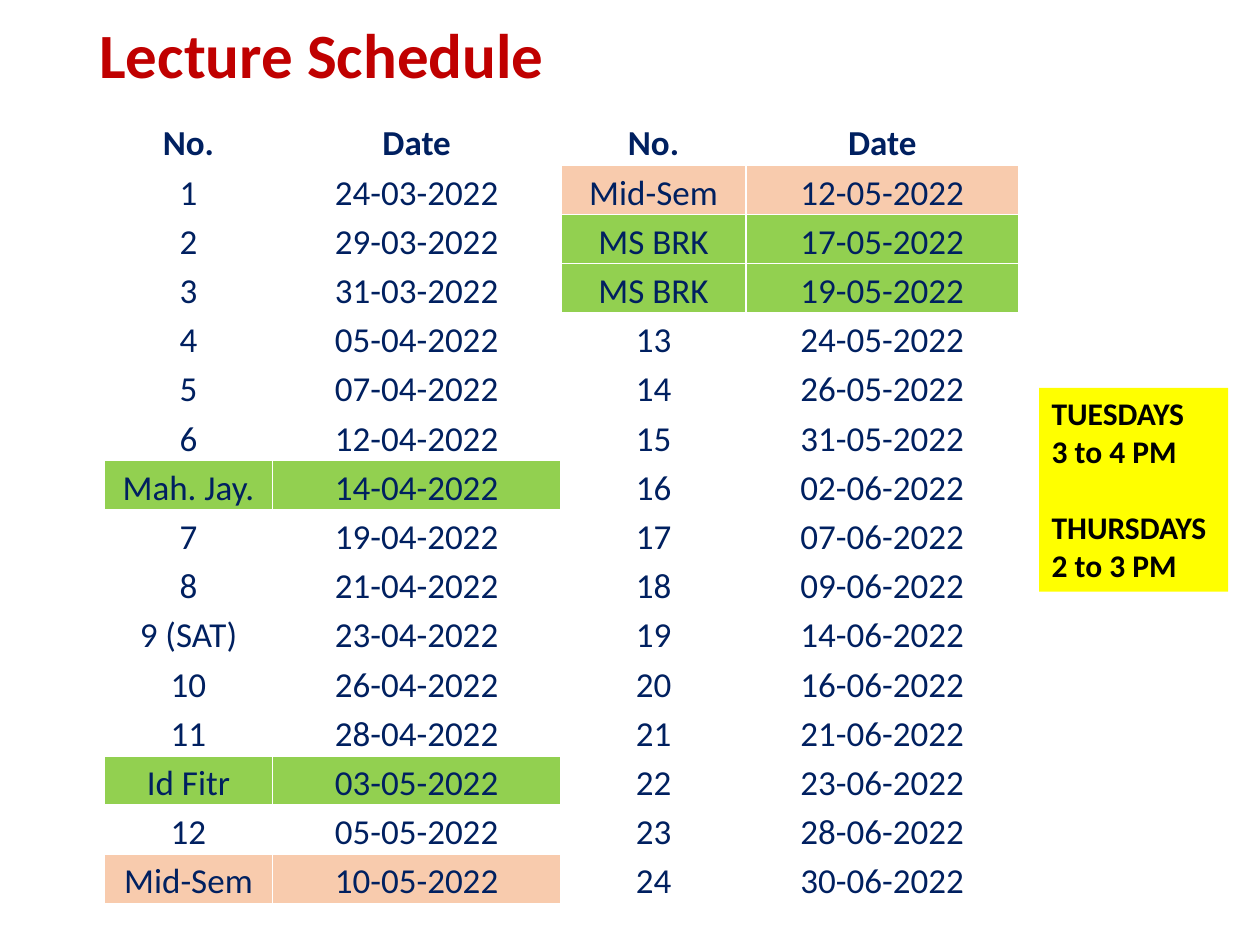
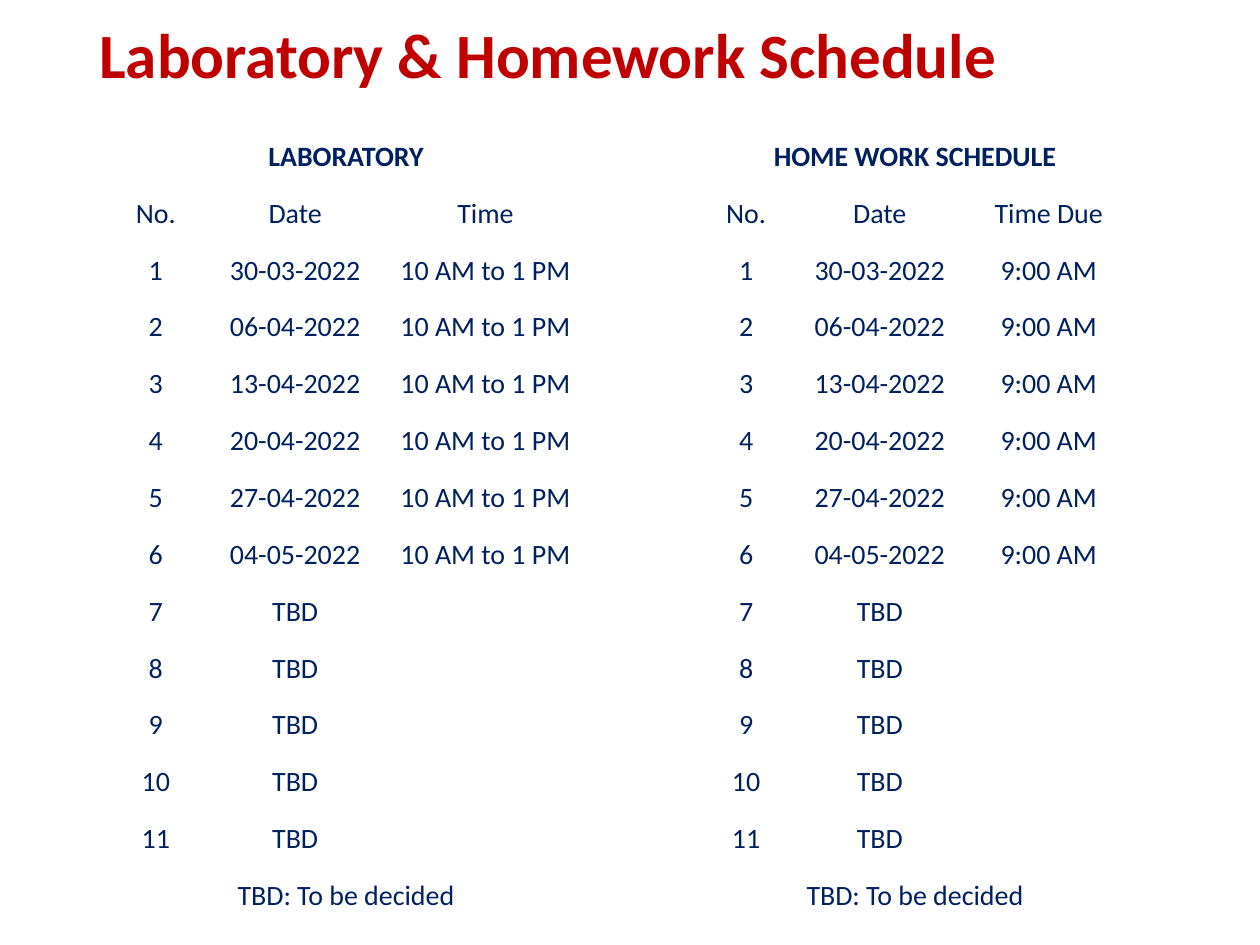
from lxml import etree
from pptx import Presentation
from pptx import util as u
from pptx.dml.color import RGBColor
from pptx.enum import shapes, text
from pptx.oxml import ns

# Theme: colours and type sizes
theme = {
    "font": "Calibri",
    "red": "C00000", "navy": "002060", "black": "000000", "white": "FFFFFF",
    "green": "92D050", "peach": "F8CBAD", "yellow": "FFFF00",
    "title": 36, "dates": 20, "note": 18, "plan": 16,
}


def style(para, size, color, bold, align):
    para.alignment = align
    for run in para.runs:
        look = {"name": theme["font"], "size": u.Pt(size), "bold": bold}
        for key, value in look.items():
            setattr(run.font, key, value)
        run.font.color.rgb = RGBColor.from_string(theme[color])


def grid(slide, rows, widths, top, height, size, marks):
    frame = slide.shapes.add_table(
        len(rows), len(widths), u.Cm(2.11), u.Cm(top),
        u.Cm(sum(widths)), u.Cm(height))
    table = frame.table
    table.first_row = table.horz_banding = False
    for col, width in zip(table.columns, widths):
        col.width = u.Cm(width)
    inset = {"margin_left": u.Cm(0.02), "margin_right": u.Cm(0.02),
             "margin_top": u.Cm(0.02), "margin_bottom": 0,
             "vertical_anchor": text.MSO_ANCHOR.BOTTOM}
    for r, row in enumerate(rows):
        for c, words in enumerate(row):
            cell = table.cell(r, c)
            for key, value in inset.items():
                setattr(cell, key, value)
            # White borders come before the fill
            props = cell._tc.get_or_add_tcPr()
            for side in ("a:lnL", "a:lnR", "a:lnT", "a:lnB"):
                line = etree.SubElement(props, ns.qn(side), w="12700")
                paint = etree.SubElement(line, ns.qn("a:solidFill"))
                etree.SubElement(paint, ns.qn("a:srgbClr"), val=theme["white"])
            # A marked label colours itself and the date beside it
            mark = marks.get(words) or (c and marks.get(row[c - 1]))
            if mark:
                cell.fill.solid()
                cell.fill.fore_color.rgb = RGBColor.from_string(theme[mark])
            else:
                cell.fill.background()
            if words:
                cell.text = words
                style(cell.text_frame.paragraphs[0], size, "navy", r == 0,
                      text.PP_ALIGN.CENTER)
    return table


deck = Presentation()
deck.slide_width, deck.slide_height = u.Cm(25.4), u.Cm(19.05)

# Slides with their titles
pages = []
for words in ("Lecture Schedule", "Laboratory & Homework Schedule"):
    page = deck.slides.add_slide(deck.slide_layouts[5])
    title = page.shapes.title
    place = {"left": u.Cm(1.75), "top": 0,
             "width": u.Cm(21.9), "height": u.Cm(2.36)}
    for key, value in place.items():
        setattr(title, key, value)
    title.text_frame.text = words
    title.text_frame.vertical_anchor = text.MSO_ANCHOR.MIDDLE
    para = title.text_frame.paragraphs[0]
    para.line_spacing = 0.9
    style(para, theme["title"], "red", True, text.PP_ALIGN.LEFT)
    pages.append(page)

# Lecture dates, two columns side by side
first = [
    ("No.", "Date"), ("1", "24-03-2022"), ("2", "29-03-2022"),
    ("3", "31-03-2022"), ("4", "05-04-2022"), ("5", "07-04-2022"),
    ("6", "12-04-2022"), ("Mah. Jay.", "14-04-2022"), ("7", "19-04-2022"),
    ("8", "21-04-2022"), ("9 (SAT)", "23-04-2022"), ("10", "26-04-2022"),
    ("11", "28-04-2022"), ("Id Fitr", "03-05-2022"), ("12", "05-05-2022"),
    ("Mid-Sem", "10-05-2022"),
]
second = [
    ("No.", "Date"), ("Mid-Sem", "12-05-2022"), ("MS BRK", "17-05-2022"),
    ("MS BRK", "19-05-2022"), ("13", "24-05-2022"), ("14", "26-05-2022"),
    ("15", "31-05-2022"), ("16", "02-06-2022"), ("17", "07-06-2022"),
    ("18", "09-06-2022"), ("19", "14-06-2022"), ("20", "16-06-2022"),
    ("21", "21-06-2022"), ("22", "23-06-2022"), ("23", "28-06-2022"),
    ("24", "30-06-2022"),
]
marks = {"Mid-Sem": "peach", "MS BRK": "green",
         "Mah. Jay.": "green", "Id Fitr": "green"}
grid(pages[0], [a + b for a, b in zip(first, second)],
     (3.38, 5.82, 3.73, 5.49), 2.34, 15.88, theme["dates"], marks)

# Class hours
note = pages[0].shapes.add_shape(
    shapes.MSO_SHAPE.RECTANGLE,
    u.Cm(20.95), u.Cm(7.82), u.Cm(3.81), u.Cm(4.11))
note.shadow.inherit = False
note.fill.solid()
note.fill.fore_color.rgb = RGBColor.from_string(theme["yellow"])
note.line.fill.background()
body = note.text_frame
body.word_wrap = True
body.vertical_anchor = text.MSO_ANCHOR.TOP
body.text = "TUESDAYS\n3 to 4 PM\nTHURSDAYS\n2 to 3 PM"
for para in body.paragraphs:
    style(para, theme["note"], "black", True, text.PP_ALIGN.LEFT)
body.paragraphs[2].space_before = u.Pt(22)

# Laboratory and homework plan
days = ("30-03-2022", "06-04-2022", "13-04-2022",
        "20-04-2022", "27-04-2022", "04-05-2022")
plan = [
    ("LABORATORY", "", "", "", "HOME WORK SCHEDULE", "", ""),
    ("No.", "Date", "Time", "", "No.", "Date", "Time Due"),
]
for n in range(1, 12):
    known = n <= len(days)
    day = days[n - 1] if known else "TBD"
    lab, due = ("10 AM to 1 PM", "9:00 AM") if known else ("", "")
    plan.append((str(n), day, lab, "", str(n), day, due))
key = "TBD: To be decided"
plan.append((key, "", "", "", key, "", ""))
table = grid(pages[1], plan, (2.06, 3.56, 4.11, 1.98, 2.44, 2.95, 3.86),
             2.36, 16.05, theme["plan"], {})
for r in (0, len(plan) - 1):
    for c in (0, 4):
        table.cell(r, c).merge(table.cell(r, c + 2))

deck.save("out.pptx")
